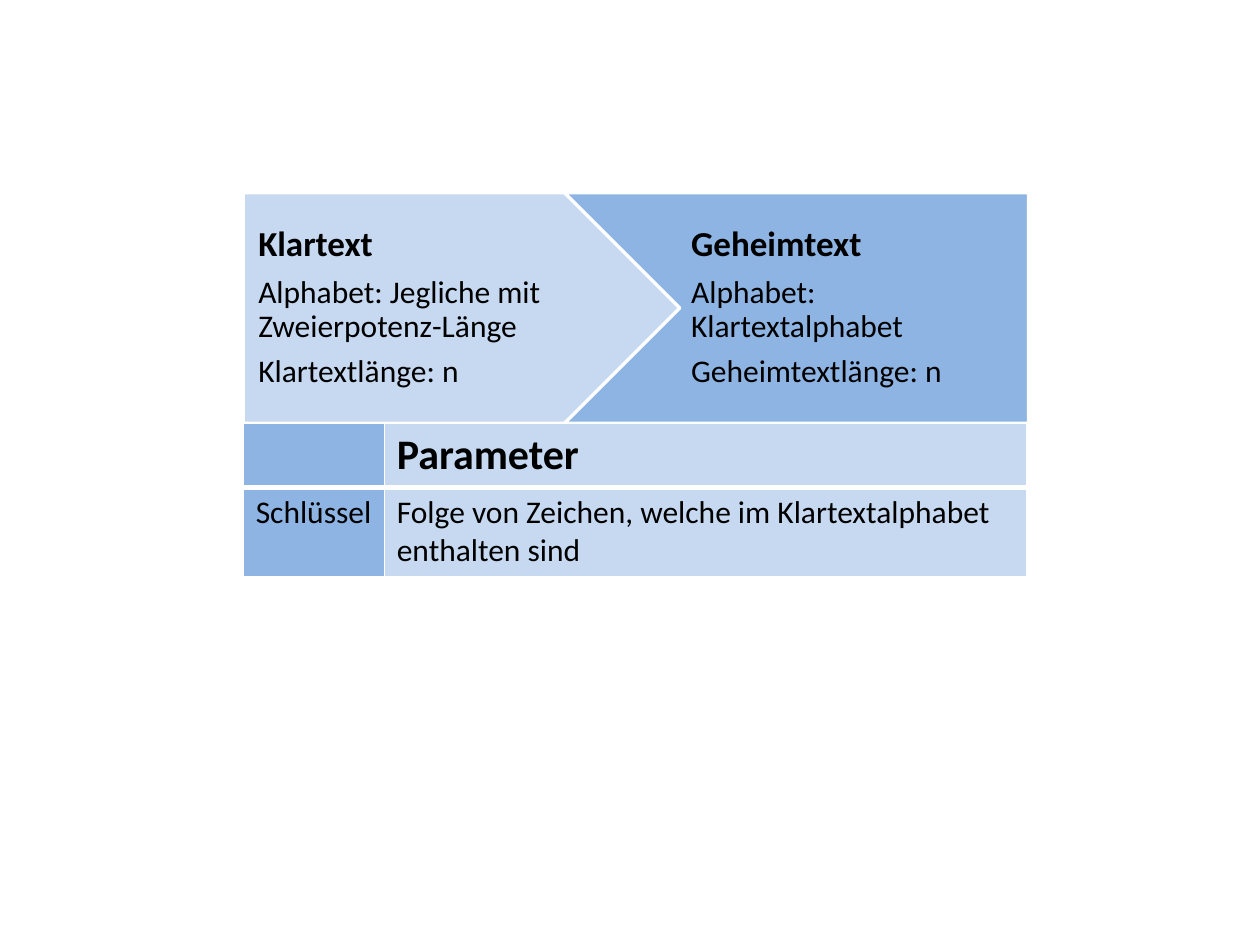
from dataclasses import dataclass

from lxml.etree import SubElement
from pptx import Presentation
from pptx.dml.color import RGBColor
from pptx.enum.shapes import MSO_SHAPE
from pptx.enum.text import MSO_ANCHOR, PP_ALIGN
from pptx.oxml.ns import qn
from pptx.util import Inches, Pt


@dataclass(frozen=True)
class Theme:
    """Hold the colours, font and type sizes."""
    font: str = "Calibri"
    ink: str = "000000"
    white: str = "FFFFFF"
    pale: str = "C6D9F1"
    mid: str = "8EB4E3"
    big: int = 24
    head: int = 20
    body: int = 18
    rule: float = 0.96
    thick: float = 3


def write(frame, text, theme, size, bold=False, first=False, line=None, after=None):
    """Write one paragraph into a text frame."""
    par = frame.paragraphs[0] if first else frame.add_paragraph()
    par.alignment = PP_ALIGN.LEFT
    if line:
        par.line_spacing = line
    if after:
        par.space_after = Pt(after)
    run = par.add_run()
    run.text = text
    font = run.font
    font.name, font.size, font.bold = theme.font, Pt(size), bold
    font.color.rgb = RGBColor.from_string(theme.ink)


class Page:
    """Draw styled elements on the current slide."""

    def __init__(self, slide, theme):
        """Keep the slide and its theme."""
        self.slide, self.theme = slide, theme

    def block(self, kind, box, fill, edge=None):
        """Add a filled shape with an optional white edge."""
        shape = self.slide.shapes.add_shape(kind, *map(Inches, box))
        shape.shadow.inherit = False
        shape.fill.solid()
        shape.fill.fore_color.rgb = RGBColor.from_string(fill)
        if edge:
            shape.line.color.rgb = RGBColor.from_string(self.theme.white)
            shape.line.width = Pt(edge)
        else:
            shape.line.fill.background()
        return shape

    def step(self, kind, box, fill, left, head, lines):
        """Add an arrow block with a heading and body lines."""
        shape = self.block(kind, box, fill, edge=2)
        shape.adjustments[0] = 0.5
        frame = shape.text_frame
        frame.word_wrap = True
        frame.vertical_anchor = MSO_ANCHOR.MIDDLE
        frame.margin_left, frame.margin_right = Inches(left), Inches(0.03)
        frame.margin_top = frame.margin_bottom = Inches(0.06)
        write(frame, head, self.theme, self.theme.head, bold=True, first=True, line=0.9, after=7)
        for text in lines:
            write(frame, text, self.theme, self.theme.body, line=0.9, after=6.3)

    def edge(self, cell, side, width):
        """Draw one white border of a cell."""
        line = SubElement(cell._tc.get_or_add_tcPr(), qn(f"a:ln{side}"), w=str(Pt(width)))
        SubElement(SubElement(line, qn("a:solidFill")), qn("a:srgbClr"), val=self.theme.white)

    def table(self, box, cols, rows, data):
        """Add a table with a bold first row and a darker first column."""
        theme = self.theme
        grid = self.slide.shapes.add_table(len(rows), len(cols), *map(Inches, box)).table
        grid.first_row = grid.horz_banding = False
        for col, width in zip(grid.columns, cols):
            col.width = Inches(width)
        for r, (row, high) in enumerate(zip(grid.rows, rows)):
            row.height = Inches(high)
            top, base = (theme.rule, theme.thick) if r == 0 else (theme.thick, theme.rule)
            for c, cell in enumerate(row.cells):
                cell.margin_right = Inches(0.05)
                for side, width in zip("LRTB", (theme.rule, theme.rule, top, base)):
                    self.edge(cell, side, width)
                cell.fill.solid()
                cell.fill.fore_color.rgb = RGBColor.from_string(theme.pale if c else theme.mid)
                if data[r][c]:
                    size = theme.body if r else theme.big
                    write(cell.text_frame, data[r][c], theme, size, bold=r == 0, first=True)


def main():
    """Build the slide and save it."""
    deck = Presentation()
    deck.slide_width, deck.slide_height = Inches(10), Inches(7.5)
    theme = Theme()
    page = Page(deck.slides.add_slide(deck.slide_layouts[6]), theme)
    page.step(MSO_SHAPE.PENTAGON, (1.93, 1.53, 3.94, 1.83), theme.pale, 0.12, "Klartext",
              ["Alphabet: Jegliche mit Zweierpotenz-Länge", "Klartextlänge: n"])
    page.step(MSO_SHAPE.CHEVRON, (4.48, 1.53, 4.61, 1.83), theme.mid, 0.09, "Geheimtext",
              ["Alphabet: Klartextalphabet", "Geheimtextlänge: n"])
    page.block(MSO_SHAPE.RECTANGLE, (8.15, 1.15, 0.94, 2.44), theme.white)
    page.table((1.93, 3.36, 6.22, 0.88), (1.12, 5.1), (0.47, 0.41),
               [["", "Parameter"],
                ["Schlüssel", "Folge von Zeichen, welche im Klartextalphabet enthalten sind"]])
    deck.save("out.pptx")


if __name__ == "__main__":
    main()
